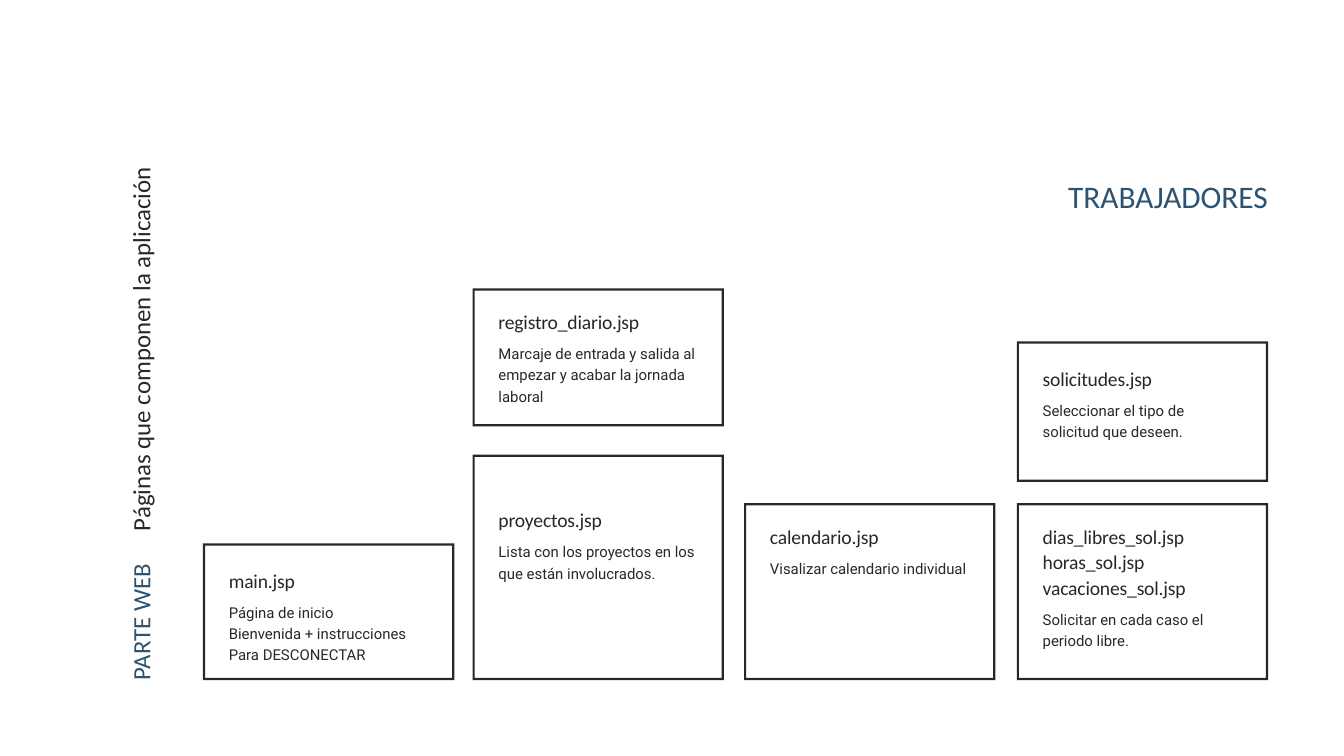
from dataclasses import dataclass

from lxml.etree import SubElement
from pptx import Presentation
from pptx.dml.color import RGBColor
from pptx.enum.text import MSO_ANCHOR, MSO_AUTO_SIZE, PP_ALIGN
from pptx.oxml.ns import qn
from pptx.util import Pt


@dataclass(frozen=True)
class TextStyle:
    font: str
    size: float
    leading: float
    color: RGBColor
    tracking: int = 0


@dataclass(frozen=True)
class Theme:
    ink = RGBColor(0x29, 0x28, 0x28)
    accent = RGBColor(0x2C, 0x53, 0x71)
    title = TextStyle("Calibri", 33.6, 40.3, accent)
    section = TextStyle("Calibri", 26.6, 31.9, accent)
    page_name = TextStyle("Calibri", 21, 27.3, ink, -20)
    description = TextStyle("Roboto", 16, 22.7, ink)


class PageMap:
    card_width = 269.4
    border = 2.4
    padding = 27.8
    text_width = 213.8
    name_gap = 8.6

    def __init__(self, slide, theme):
        self.slide = slide
        self.theme = theme

    def prepare(self, frame):
        frame.margin_left = frame.margin_right = 0
        frame.margin_top = frame.margin_bottom = 0
        frame.word_wrap = True
        frame.auto_size = MSO_AUTO_SIZE.NONE
        frame.vertical_anchor = MSO_ANCHOR.TOP

    def add_run(self, paragraph, text, style, color=None):
        run = paragraph.add_run()
        run.text = text
        run.font.name = style.font
        run.font.size = Pt(style.size)
        run.font.color.rgb = color or style.color
        if style.tracking:
            run.font._element.set("spc", str(style.tracking))

    def title(self, text, left, top, width, height):
        heading = self.slide.shapes.title
        heading.left, heading.top = Pt(left), Pt(top)
        heading.width, heading.height = Pt(width), Pt(height)
        self.prepare(heading.text_frame)
        paragraph = heading.text_frame.paragraphs[0]
        paragraph.alignment = PP_ALIGN.RIGHT
        paragraph.line_spacing = Pt(self.theme.title.leading)
        self.add_run(paragraph, text, self.theme.title)

    def side_label(self, section, subject, left, top, width, height, tab):
        label = self.slide.shapes.add_textbox(Pt(left), Pt(top), Pt(width), Pt(height))
        label.rotation = 270
        self.prepare(label.text_frame)
        paragraph = label.text_frame.paragraphs[0]
        stops = SubElement(paragraph._p.get_or_add_pPr(), qn("a:tabLst"))
        SubElement(stops, qn("a:tab"), pos=str(Pt(tab)), algn="l")
        paragraph.line_spacing = Pt(self.theme.section.leading)
        self.add_run(paragraph, section, self.theme.section)
        self.add_run(paragraph, "\t" + subject, self.theme.section, self.theme.ink)

    def frame(self, left, top, bottom):
        right = left + self.card_width
        inset = self.border
        outline = self.slide.shapes.build_freeform(Pt(left), Pt(top))
        outline.add_line_segments(
            [(Pt(left), Pt(bottom)), (Pt(right), Pt(bottom)), (Pt(right), Pt(top))])
        outline.move_to(Pt(right - inset), Pt(bottom - inset))
        outline.add_line_segments(
            [(Pt(left + inset), Pt(bottom - inset)),
             (Pt(left + inset), Pt(top + inset)),
             (Pt(right - inset), Pt(top + inset))])
        border = outline.convert_to_shape()
        border.shadow.inherit = False
        border.fill.solid()
        border.fill.fore_color.rgb = self.theme.ink
        border.line.fill.background()

    def text(self, lines, left, top, height, style):
        box = self.slide.shapes.add_textbox(
            Pt(left), Pt(top), Pt(self.text_width), Pt(height))
        self.prepare(box.text_frame)
        for index, line in enumerate(lines):
            paragraphs = box.text_frame
            paragraph = paragraphs.add_paragraph() if index else paragraphs.paragraphs[0]
            paragraph.line_spacing = Pt(style.leading)
            self.add_run(paragraph, line, style)

    def card(self, left, top, bottom, text_top, names, description, rows):
        self.frame(left, top, bottom)
        text_left = left + self.padding
        name_style, body_style = self.theme.page_name, self.theme.description
        names_height = len(names) * name_style.leading
        self.text(names, text_left, text_top, names_height, name_style)
        self.text(description, text_left, text_top + names_height + self.name_gap,
                  rows * body_style.leading, body_style)


def main():
    deck = Presentation()
    deck.slide_width, deck.slide_height = Pt(1440), Pt(810)
    slide = deck.slides.add_slide(deck.slide_layouts[5])
    page_map = PageMap(slide, Theme())

    start, work, calendar, requests = 217.4, 506.3, 797.2, 1089.4
    base = 728.8
    pages = [
        (start, 582.2, base, 607, ["main.jsp"],
         ["Página de inicio", "Bienvenida + instrucciones", "Para DESCONECTAR"], 3),
        (work, 309.1, 456.9, 330, ["registro_diario.jsp"],
         ["Marcaje de entrada y salida al empezar y acabar la jornada laboral"], 3),
        (work, 487.2, base, 542.4, ["proyectos.jsp"],
         ["Lista con los proyectos en los que están involucrados."], 2),
        (calendar, 539, base, 560.3, ["calendario.jsp"],
         ["Visalizar calendario individual"], 1),
        (requests, 365.8, 516.4, 391, ["solicitudes.jsp"],
         ["Seleccionar el tipo de solicitud que deseen."], 2),
        (requests, 539, base, 560.3,
         ["dias_libres_sol.jsp", "horas_sol.jsp", "vacaciones_sol.jsp"],
         ["Solicitar en cada caso el periodo libre."], 2),
    ]
    for page in pages:
        page_map.card(*page)

    page_map.title("TRABAJADORES", 720, 190.1, 638.6, 40.3)
    page_map.side_label("PARTE WEB", "Páginas que componen la aplicación",
                        -168.5, 393.2, 638.6, 32.2, 159.5)
    deck.save("out.pptx")


if __name__ == "__main__":
    main()
